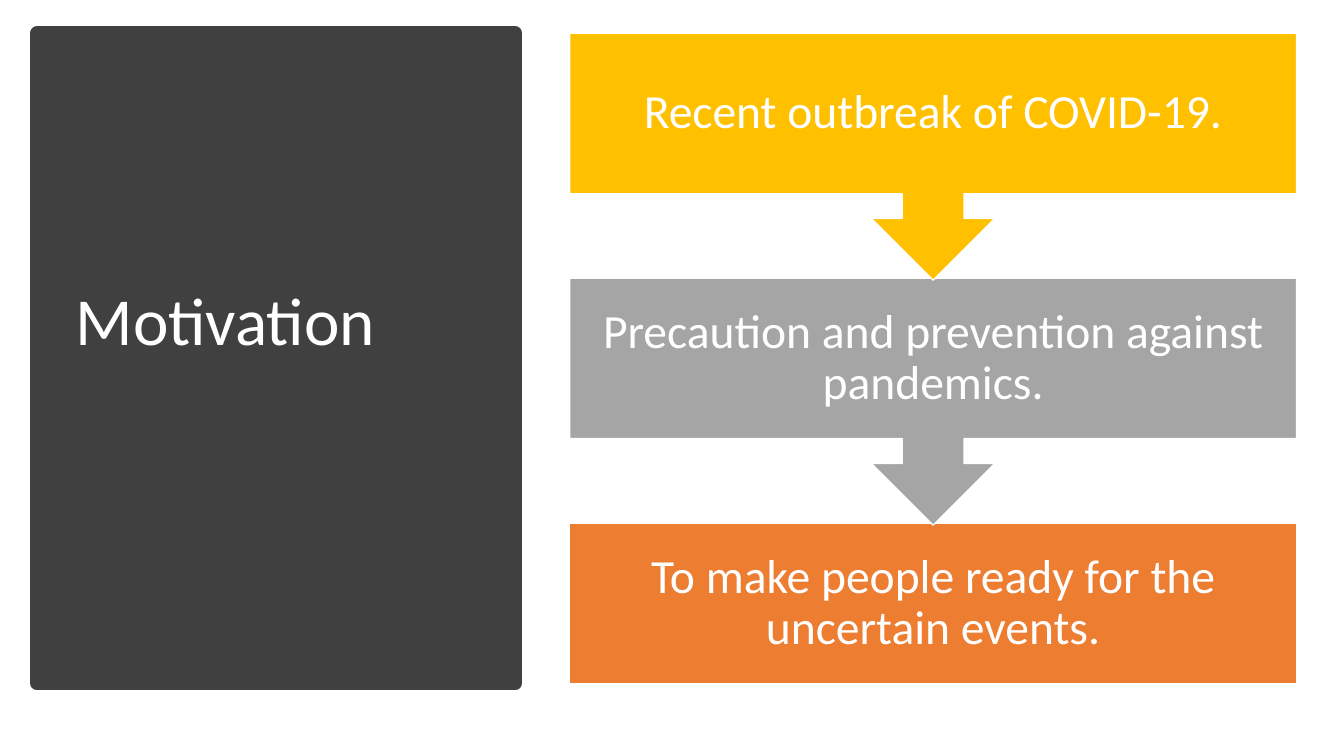
import pptx
import pptx.util
import pptx.dml.color
import pptx.enum.shapes
import pptx.enum.text

Inches, Pt = pptx.util.Inches, pptx.util.Pt
SHAPE = pptx.enum.shapes.MSO_SHAPE
ALIGN = pptx.enum.text.PP_ALIGN
MIDDLE = pptx.enum.text.MSO_ANCHOR.MIDDLE

FONT = "Calibri"
COLORS = {
    "panel": "404040",
    "white": "FFFFFF",
    "gold": "FFC000",
    "gray": "A5A5A5",
    "orange": "ED7D31",
}
STEPS = [
    ("Recent outbreak of COVID-19.", "gold"),
    ("Precaution and prevention against pandemics.", "gray"),
    ("To make people ready for the uncertain events.", "orange"),
]


def rgb(name):
    return pptx.dml.color.RGBColor.from_string(COLORS[name])


def add_block(slide, kind, box, fill, line, line_width):
    sp = slide.shapes.add_shape(kind, *(Inches(v) for v in box))
    sp.shadow.inherit = False
    sp.fill.solid()
    sp.fill.fore_color.rgb = rgb(fill)
    sp.line.color.rgb = rgb(line)
    sp.line.width = Pt(line_width)
    return sp


def set_text(sp, text, size, align):
    tf = sp.text_frame
    tf.text = text
    tf.word_wrap = True
    tf.auto_size = pptx.enum.text.MSO_AUTO_SIZE.NONE
    tf.vertical_anchor = MIDDLE
    p = tf.paragraphs[0]
    p.alignment = align
    p.line_spacing = 0.9
    font = p.runs[0].font
    font.name, font.size = FONT, Pt(size)
    font.color.rgb = rgb("white")
    return tf


def add_title_panel(slide, left, top, width, height):
    panel = add_block(slide, SHAPE.RECTANGLE, (left, top, width, height),
                      "panel", "panel", 10)
    title = slide.shapes.title
    panel._element.addnext(title._element)
    title.left, title.top = Inches(left + 0.28), Inches(top + 0.37)
    title.width, title.height = Inches(width - 0.58), Inches(height - 0.7)
    tf = set_text(title, "Motivation", 48, ALIGN.LEFT)
    tf.margin_bottom = Inches(0.78)


def add_step_flow(slide, left, top, width, height):
    """Stack the steps; all but the last are callouts pointing to the next."""
    block_height, callout_height = 1.59, 2.45
    pitch = (height - block_height) / (len(STEPS) - 1)
    last = len(STEPS) - 1
    # Drawn bottom up so each arrow tip lies over the block below it.
    for i, (text, fill) in reversed(list(enumerate(STEPS))):
        kind, h = ((SHAPE.RECTANGLE, block_height) if i == last
                   else (SHAPE.DOWN_ARROW_CALLOUT, callout_height))
        sp = add_block(slide, kind, (left, top + i * pitch, width, h),
                       fill, "white", 1)
        tf = set_text(sp, text, 34, ALIGN.CENTER)
        tf.margin_left = tf.margin_right = Inches(0.26)
        tf.margin_top = tf.margin_bottom = Inches(0.26)


def main():
    prs = pptx.Presentation()
    prs.slide_width, prs.slide_height = Inches(13.33), Inches(7.5)
    slide = prs.slides.add_slide(prs.slide_layouts[5])
    add_title_panel(slide, 0.37, 0.33, 4.74, 6.45)
    add_step_flow(slide, 5.65, 0.33, 7.21, 6.45)
    prs.save("out.pptx")


if __name__ == "__main__":
    main()
